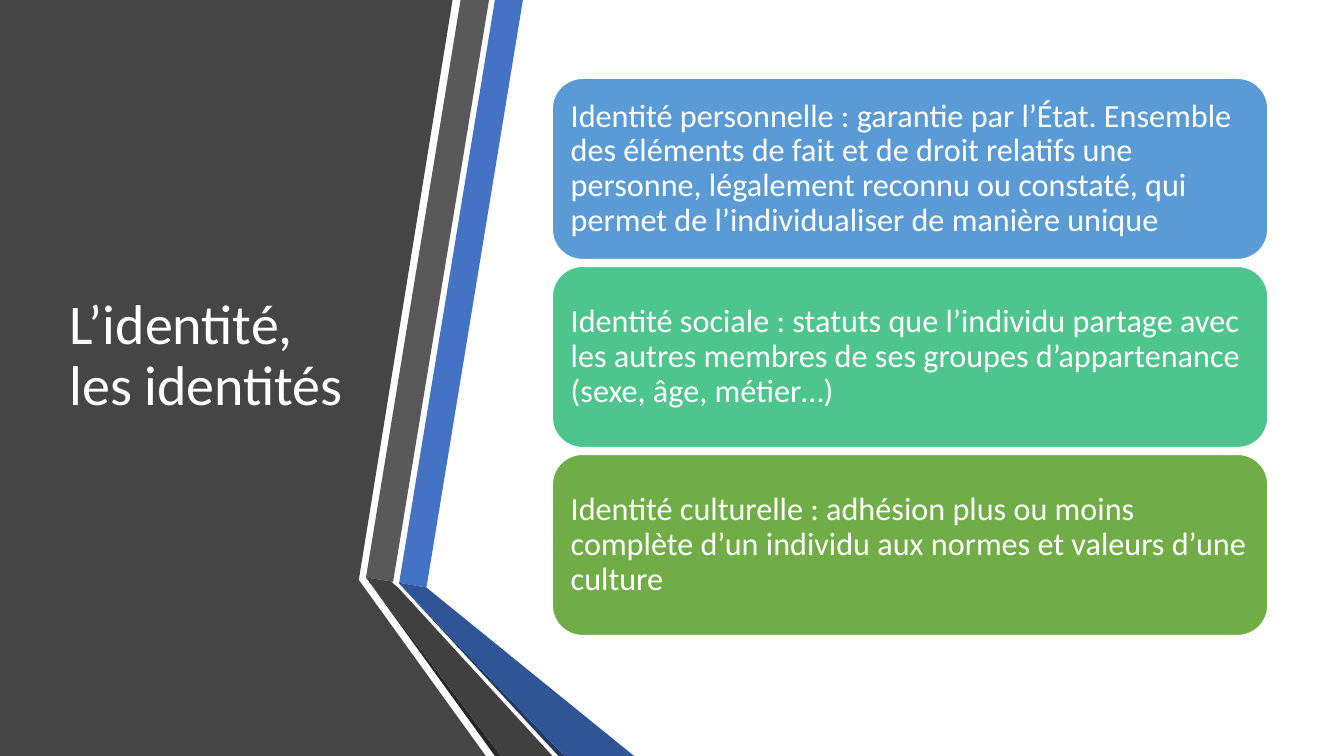
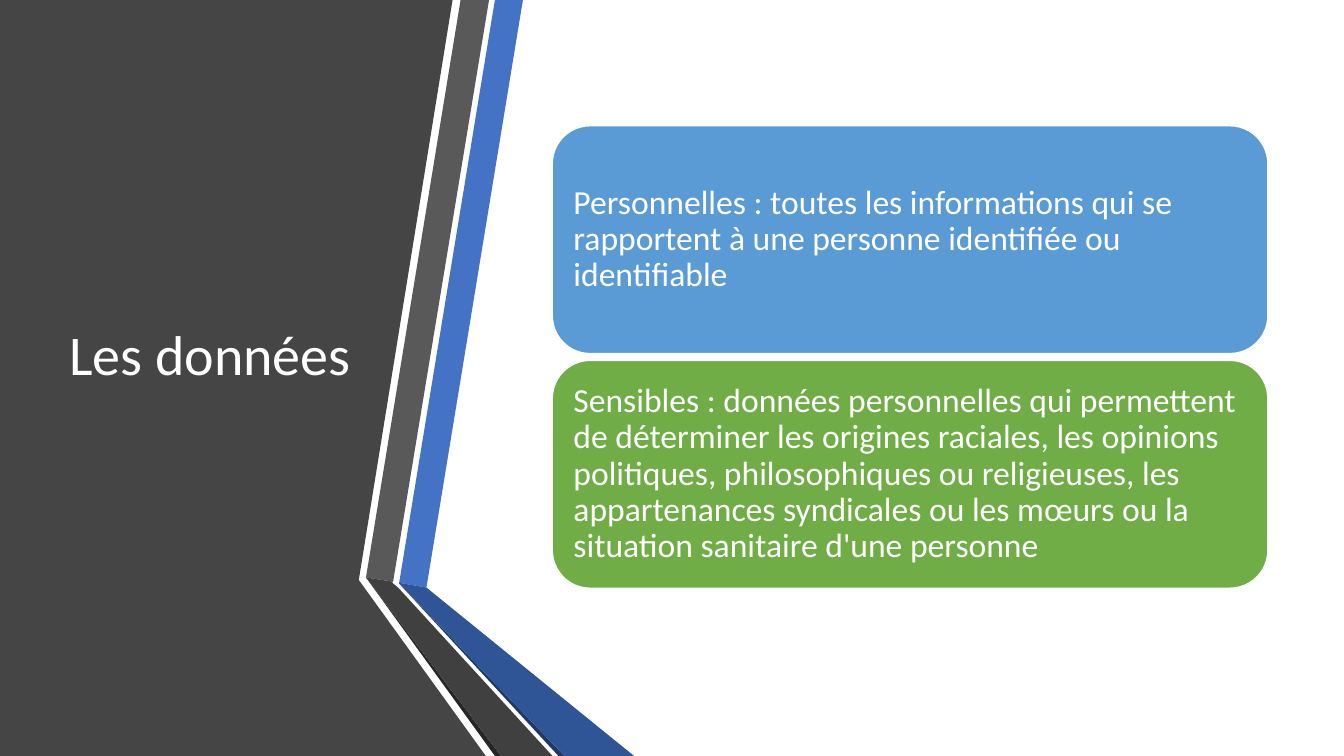
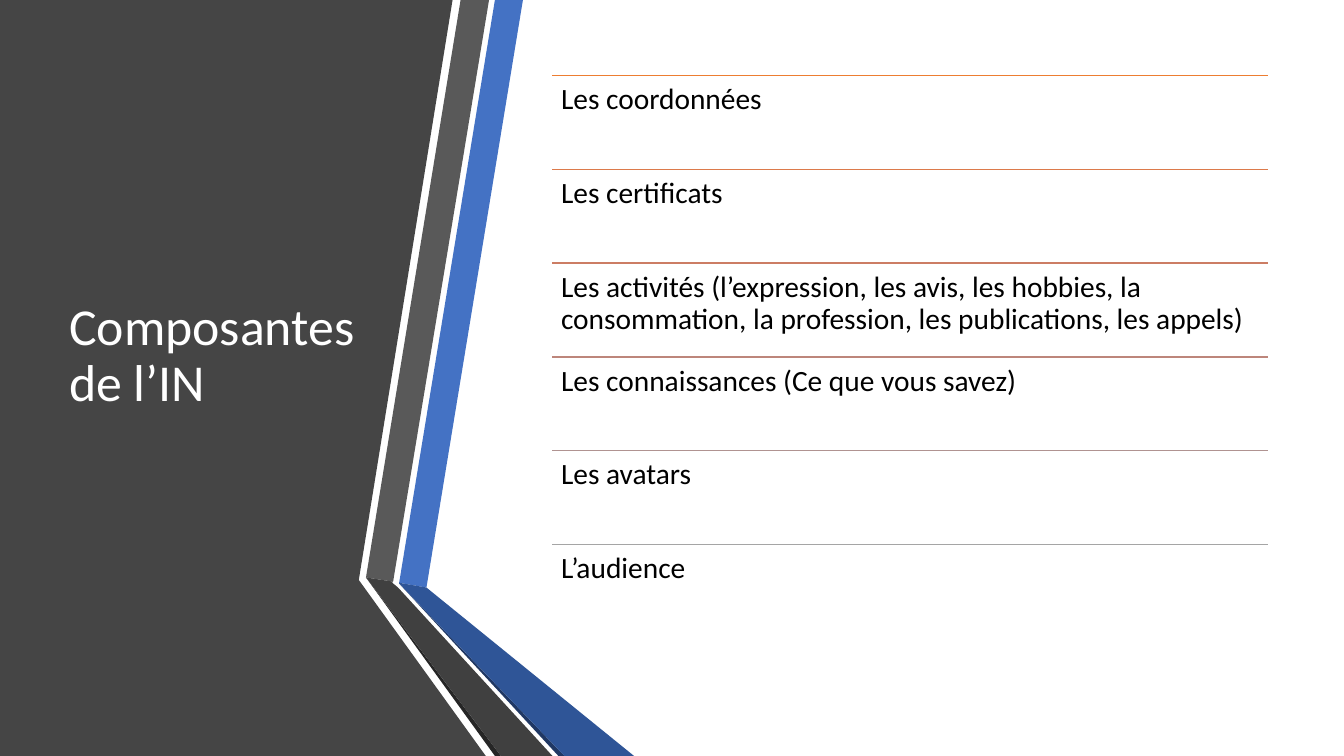
from collections import namedtuple

from lxml.etree import SubElement
from pptx import Presentation
from pptx.dml.color import RGBColor
from pptx.enum.shapes import MSO_CONNECTOR as Connector, MSO_SHAPE as Preset
from pptx.enum.text import MSO_ANCHOR as Anchor, PP_ALIGN as Align
from pptx.oxml.ns import qn
from pptx.util import Pt

Box = namedtuple("Box", "left top width height")

# Colours
WHITE = RGBColor(0xFF, 0xFF, 0xFF)
BLACK = RGBColor(0x00, 0x00, 0x00)
CHARCOAL = RGBColor(0x45, 0x45, 0x45)
BLUE = RGBColor(0x44, 0x72, 0xC4)
GRAY = RGBColor(0x59, 0x59, 0x59)
GRAY_EDGE = RGBColor(0x26, 0x26, 0x26)
GRAY_FOLD = RGBColor(0x40, 0x40, 0x40)
BLUE_EDGE = RGBColor(0x20, 0x38, 0x64)
BLUE_FOLD = RGBColor(0x2F, 0x55, 0x97)
SKY = RGBColor(0x5B, 0x9B, 0xD5)
MINT = RGBColor(0x4D, 0xC5, 0x8D)
GREEN = RGBColor(0x70, 0xAD, 0x47)
RULE_COLORS = [RGBColor.from_string(code) for code in
               ("ED7D31", "DC7A4B", "CC7D64", "BD867B", "B09391", "A5A5A5")]

# Shared regions, in points
SLIDE = Box(0, 0, 960, 540)
TITLE = Box(42.5, 54, 219, 402)
CONTENT = Box(394.5, 54, 511.2, 402)
CARD_GAP = 4.8

# Side panel and folded ribbons, from back to front
BACKDROP = [
    (CHARCOAL, [(0, 0), (323.3, 0), (256.3, 414.3), (347, 540), (0, 540)]),
    (BLUE, [(285.1, 416.3), (304.6, 419.7), (373.5, 0), (353.5, 0)]),
    (GRAY, [(349.3, 0), (329, 0), (261.4, 412.5), (280.8, 415.5)]),
    (GRAY_EDGE, [(261.4, 412.5), (353.5, 540), (357.8, 540)]),
    (BLUE_EDGE, [(285.1, 416.8), (398.9, 540), (403.2, 540)]),
    (BLUE_FOLD, [(285.1, 416.8), (403.2, 540), (452.9, 540),
                 (304.6, 419.7), (285.1, 416.3)]),
    (GRAY_FOLD, [(394.6, 540), (284.4, 419.8), (280.1, 416.2),
                 (280.8, 415.5), (261.4, 412.5), (357.8, 540)]),
]


def points(box):
    return [Pt(length) for length in box]


def write(shape, text, size, color, anchor, inset):
    frame = shape.text_frame
    margin = Pt(inset)
    paragraph = frame.paragraphs[0]
    paragraph.text = text
    formats = [
        (frame, dict(word_wrap=True, vertical_anchor=anchor,
                     margin_left=margin, margin_right=margin,
                     margin_top=margin, margin_bottom=margin)),
        (paragraph, dict(alignment=Align.LEFT, line_spacing=0.9)),
        (paragraph.font, dict(name="Calibri", size=Pt(size))),
        (paragraph.font.color, dict(rgb=color)),
    ]
    for target, values in formats:
        for attribute, value in values.items():
            setattr(target, attribute, value)


def paint(shape, color):
    shape.shadow.inherit = False
    shape.fill.solid()
    shape.fill.fore_color.rgb = color


def add_backdrop(slide, box):
    for color, corners in BACKDROP:
        outline = [(Pt(box.left + x), Pt(box.top + y)) for x, y in corners]
        builder = slide.shapes.build_freeform(*outline[0])
        builder.add_line_segments(outline[1:], close=True)
        ribbon = builder.convert_to_shape()
        paint(ribbon, color)
        ribbon.line.fill.background()


def add_title(slide, box, text, size):
    title = slide.shapes.add_textbox(*points(box))
    write(title, text, size, WHITE, Anchor.MIDDLE, 7.2)


def add_cards(slide, box, cards, height, size):
    """Stack rounded cards, centred vertically in the box."""
    pitch = height + CARD_GAP
    top = box.top + (box.height - len(cards) * pitch + CARD_GAP) / 2
    for index, (color, text) in enumerate(cards):
        place = Box(box.left, top + index * pitch, box.width, height)
        card = slide.shapes.add_shape(Preset.ROUNDED_RECTANGLE, *points(place))
        paint(card, color)
        card.line.color.rgb = WHITE
        card.line.width = Pt(1)
        write(card, text, size, WHITE, Anchor.MIDDLE, 0.3 * size)


def add_ruled_list(slide, box, entries, size):
    """Share the box equally between entries, each under a rule."""
    pitch = box.height / len(entries)
    for index, (color, text) in enumerate(zip(RULE_COLORS, entries)):
        row = Box(box.left, box.top + index * pitch, box.width, pitch)
        left, top, width, _ = points(row)
        rule = slide.shapes.add_connector(
            Connector.STRAIGHT, left, top, left + width, top)
        rule.line.color.rgb = color
        rule.line.width = Pt(1)
        SubElement(rule._element.spPr, qn("a:effectLst"))
        entry = slide.shapes.add_textbox(*points(row))
        write(entry, text, size, BLACK, Anchor.TOP, 0.3 * size)


def add_slide(deck, title, title_size=40):
    slide = deck.slides.add_slide(deck.slide_layouts[6])
    add_backdrop(slide, SLIDE)
    add_title(slide, TITLE, title, title_size)
    return slide


deck = Presentation()
deck.slide_width, deck.slide_height = Pt(SLIDE.width), Pt(SLIDE.height)

# Identities
identities = add_slide(deck, "L’identité, les identités")
add_cards(identities, CONTENT, [
    (SKY, "Identité personnelle\u00a0: garantie par l’État. Ensemble des "
          "éléments de fait et de droit relatifs une personne, légalement "
          "reconnu ou constaté, qui permet de l’individualiser de manière "
          "unique"),
    (MINT, "Identité sociale\u00a0: statuts que l’individu partage avec les "
           "autres membres de ses groupes d’appartenance (sexe, âge, "
           "métier…)"),
    (GREEN, "Identité culturelle\u00a0: adhésion plus ou moins complète d’un "
            "individu aux normes et valeurs d’une culture"),
], height=129.5, size=23)

# Data
data = add_slide(deck, "Les données")
add_cards(data, CONTENT, [
    (SKY, "Personnelles\u00a0: toutes les informations qui se rapportent à "
          "une personne identifiée ou identifiable"),
    (GREEN, "Sensibles\u00a0: données personnelles qui permettent de "
            "déterminer les origines raciales, les opinions politiques, "
            "philosophiques ou religieuses, les appartenances syndicales ou "
            "les mœurs ou la situation sanitaire d'une personne"),
], height=162.8, size=24)

# Components
components = add_slide(deck, "Composantes de l’IN", title_size=37)
add_ruled_list(components, CONTENT, [
    "Les coordonnées",
    "Les certificats",
    "Les activités (l’expression, les avis, les hobbies, la consommation, "
    "la profession, les publications, les appels)",
    "Les connaissances (Ce que vous savez)",
    "Les avatars",
    "L’audience",
], size=21)

deck.save("out.pptx")
